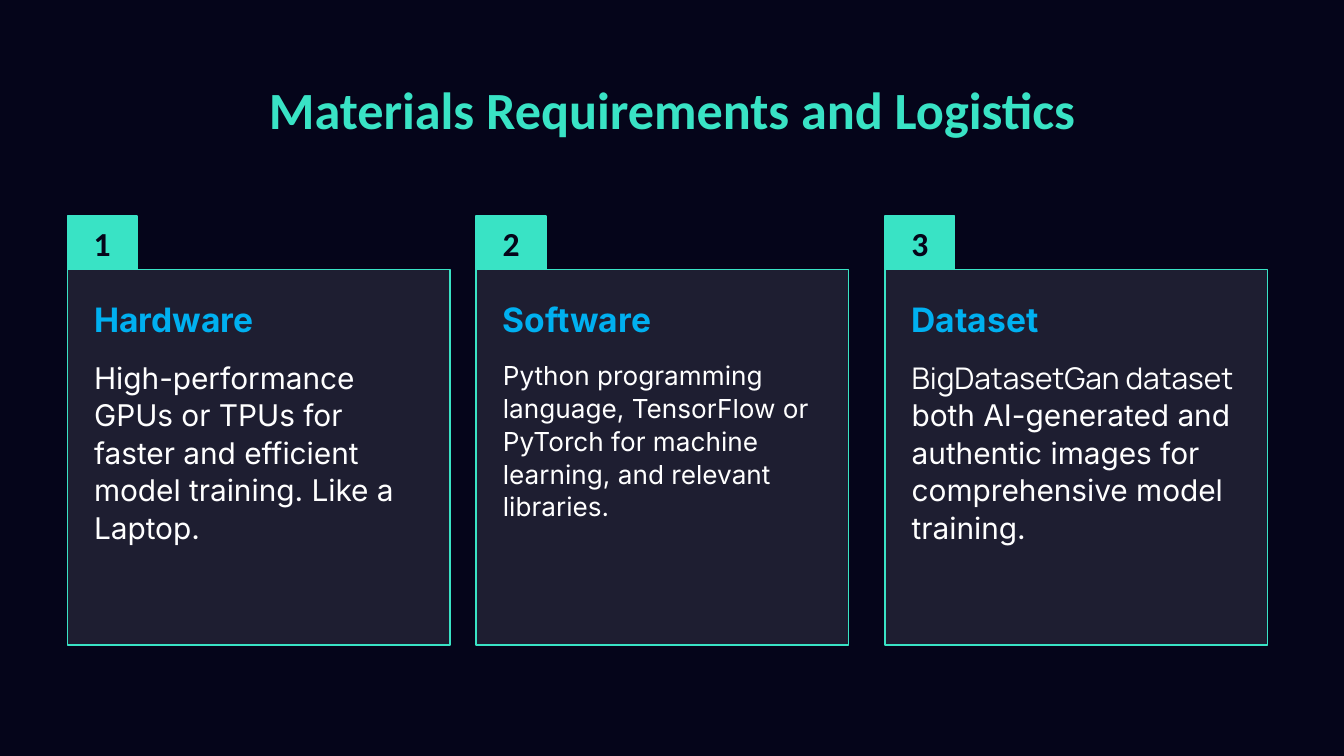
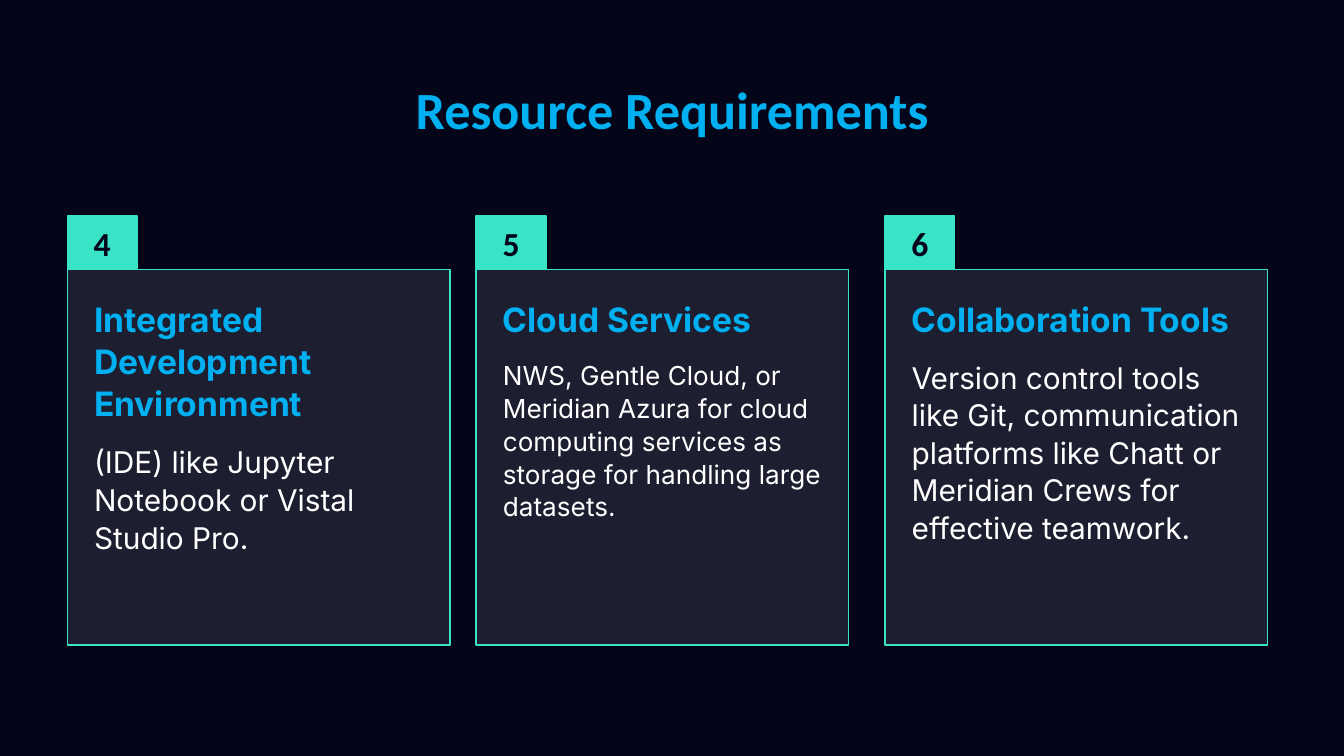
import dataclasses

import lxml.etree
import pptx
import pptx.dml.color
import pptx.enum.shapes
import pptx.enum.text
import pptx.oxml.ns
import pptx.util

Pt = pptx.util.Pt
qn = pptx.oxml.ns.qn
ALIGN = pptx.enum.text.PP_ALIGN
ANCHOR = pptx.enum.text.MSO_ANCHOR


@dataclasses.dataclass(frozen=True)
class Theme:
    night: str = "05051A"
    mint: str = "39E3C5"
    sky: str = "00B0F0"
    white: str = "FFFFFF"
    card_opacity: int = 10
    title_size: float = 28
    heading_size: float = 18
    text_size: float = 16
    small_text_size: float = 14
    line_width: float = 0.75
    display_font: str = "Calibri"
    text_font: str = "Inter"
    accent_font: str = "Manrope"


THEME = Theme()

COLUMN_LEFT, COLUMN_STEP = 36, 219
CARD_TOP, CARD_HEIGHT = 144.5, 201
CARD_WIDTHS = (205, 199.5, 205)
CARD_RIGHT_INSETS = (14.4, 10.8, 10.8)
CARD_TEXT_SIZES = (THEME.text_size, THEME.small_text_size, THEME.text_size)
BADGE_WIDTH, BADGE_HEIGHT = 37.5, 28.8
TITLE_BOX = (36, 35.3, 648, 45.4)

CARD_PARAGRAPH = {"line_spacing": 1.05, "space_before": Pt(0), "space_after": Pt(10)}
CENTRED = {"alignment": ALIGN.CENTER, "space_before": Pt(0)}


def apply(target, values):
    for name, value in values.items():
        setattr(target, name, value)


def rgb(colour):
    return pptx.dml.color.RGBColor.from_string(colour)


class Deck:
    def __init__(self, theme):
        self.theme = theme
        self.presentation = pptx.Presentation()
        apply(self.presentation, {"slide_width": Pt(720), "slide_height": Pt(405)})
        backdrop = self.presentation.slide_master.background.fill
        backdrop.solid()
        backdrop.fore_color.rgb = rgb(theme.night)
        self.slide = None

    def new_slide(self):
        layout = self.presentation.slide_layouts.get_by_name("Comparison")
        self.slide = self.presentation.slides.add_slide(layout)

    def place(self, shape, box):
        apply(shape, dict(zip(("left", "top", "width", "height"), map(Pt, box))))

    def frame(self, shape, insets, anchor):
        """Set insets (left, top, right, bottom) and anchor, and return the text frame."""
        frame = shape.text_frame
        sides = ("margin_left", "margin_top", "margin_right", "margin_bottom")
        apply(frame, dict(zip(sides, map(Pt, insets))))
        apply(frame, {"word_wrap": True, "vertical_anchor": anchor,
                      "auto_size": pptx.enum.text.MSO_AUTO_SIZE.NONE})
        return frame

    def paint(self, shape, colour, opacity=100):
        shape.fill.solid()
        shape.fill.fore_color.rgb = rgb(colour)
        if opacity < 100:
            solid = shape._element.spPr.find(qn("a:solidFill"))
            alpha = lxml.etree.SubElement(solid.find(qn("a:srgbClr")), qn("a:alpha"))
            alpha.set("val", str(opacity * 1000))
        shape.line.color.rgb = rgb(self.theme.mint)
        shape.line.width = Pt(self.theme.line_width)

    def unbullet(self, paragraph):
        properties = paragraph._p.get_or_add_pPr()
        for name in ("marL", "indent"):
            properties.set(name, "0")
        lxml.etree.SubElement(properties, qn("a:buNone"))

    def add_text(self, paragraph, text, size, colour, font, bold=False):
        run = paragraph.add_run()
        run.text = text
        apply(run.font, {"size": Pt(size), "name": font, "bold": bold})
        run.font.color.rgb = rgb(colour)

    def title(self, text, colour):
        title = self.slide.shapes.title
        self.place(title, TITLE_BOX)
        line = self.frame(title, (7.2,) * 4, ANCHOR.MIDDLE).paragraphs[0]
        apply(line, CENTRED)
        self.add_text(line, text, self.theme.title_size, colour,
                      self.theme.display_font, True)

    def card(self, column, heading, passages):
        """Fill one column's body; passages are (text, font) pairs of one paragraph."""
        card = self.slide.placeholders[column + 1]
        self.place(card, (COLUMN_LEFT + column * COLUMN_STEP, CARD_TOP,
                          CARD_WIDTHS[column], CARD_HEIGHT))
        self.paint(card, self.theme.white, self.theme.card_opacity)
        insets = (14.4, 14.4, CARD_RIGHT_INSETS[column], 7.2)
        frame = self.frame(card, insets, ANCHOR.TOP)
        heading_line, details = frame.paragraphs[0], frame.add_paragraph()
        for paragraph in (heading_line, details):
            self.unbullet(paragraph)
            apply(paragraph, CARD_PARAGRAPH)
        self.add_text(heading_line, heading, self.theme.heading_size, self.theme.sky,
                      self.theme.text_font, True)
        for text, font in passages:
            self.add_text(details, text, CARD_TEXT_SIZES[column], self.theme.white, font)

    def badge(self, column, number):
        badge = self.slide.shapes.add_shape(
            pptx.enum.shapes.MSO_SHAPE.RECTANGLE,
            Pt(COLUMN_LEFT + column * COLUMN_STEP), Pt(CARD_TOP - BADGE_HEIGHT),
            Pt(BADGE_WIDTH), Pt(BADGE_HEIGHT))
        badge.shadow.inherit = False
        self.paint(badge, self.theme.mint)
        line = self.frame(badge, (0, 7.2, 0, 7.2), ANCHOR.MIDDLE).paragraphs[0]
        apply(line, CENTRED)
        self.add_text(line, str(number), self.theme.heading_size, self.theme.night,
                      self.theme.display_font, True)

    def remove_empty_placeholders(self):
        for placeholder in list(self.slide.placeholders):
            if not placeholder.text_frame.text:
                placeholder._element.getparent().remove(placeholder._element)

    def requirements(self, title, colour, first_number, cards):
        self.new_slide()
        self.title(title, colour)
        for column, (heading, passages) in enumerate(cards):
            self.card(column, heading, passages)
            self.badge(column, first_number + column)
        self.remove_empty_placeholders()


def main():
    deck = Deck(THEME)
    inter = THEME.text_font
    deck.requirements("Materials Requirements and Logistics", THEME.mint, 1, [
        ("Hardware", [("High-performance GPUs or TPUs for faster and efficient model "
                       "training. Like a Laptop.", inter)]),
        ("Software", [("Python programming language, TensorFlow or PyTorch for machine "
                       "learning, and relevant libraries.", inter)]),
        ("Dataset", [("BigDatasetGan dataset ", THEME.accent_font),
                     ("both AI-generated and authentic images for comprehensive model "
                      "training.", inter)]),
    ])
    deck.requirements("Resource Requirements", THEME.sky, 4, [
        ("Integrated Development Environment",
         [("(IDE) like Jupyter Notebook or Vistal Studio Pro.", inter)]),
        ("Cloud Services", [("NWS, Gentle Cloud, or Meridian Azura for cloud computing "
                             "services as storage for handling large datasets.", inter)]),
        ("Collaboration Tools", [("Version control tools like Git, communication platforms "
                                  "like Chatt or Meridian Crews for effective teamwork.",
                                  inter)]),
    ])
    deck.presentation.save("out.pptx")


if __name__ == "__main__":
    main()
